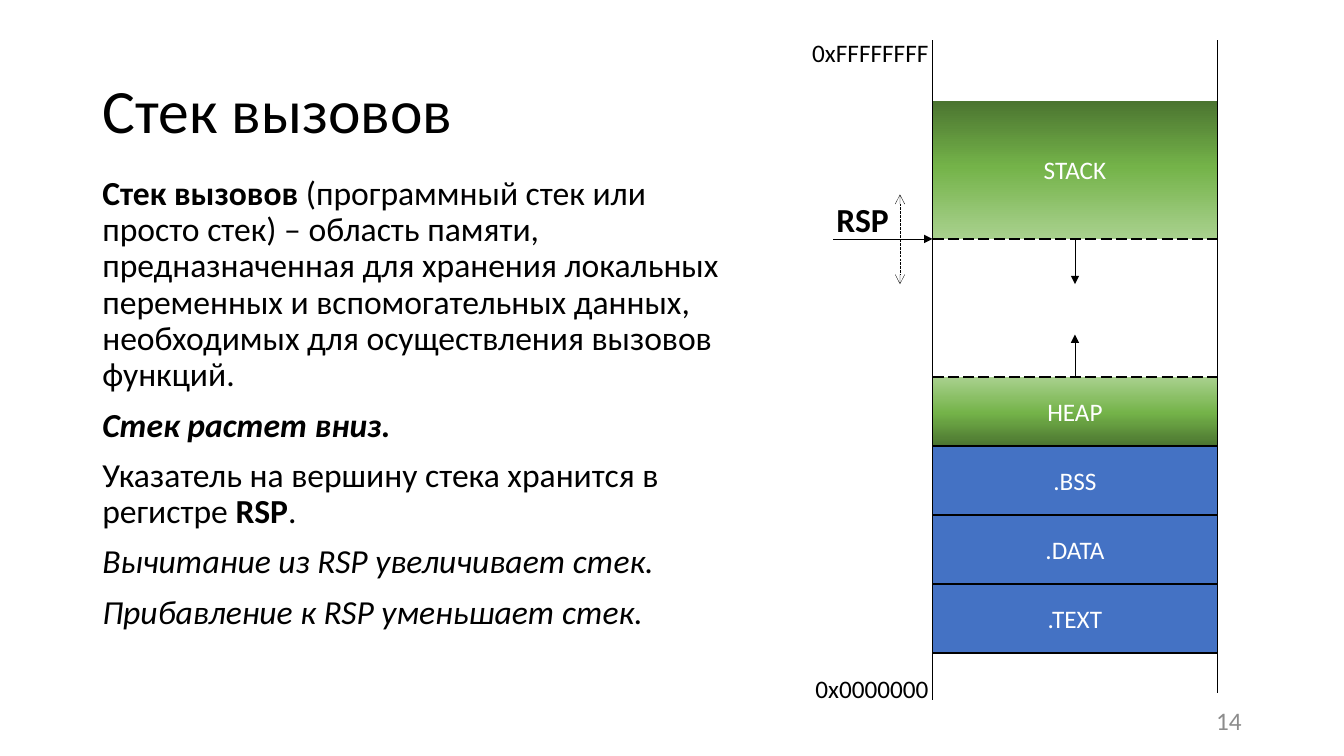
from copy import deepcopy

from lxml import etree
from pptx import Presentation
from pptx.dml.color import RGBColor
from pptx.enum.dml import MSO_LINE
from pptx.enum.shapes import MSO_CONNECTOR, MSO_SHAPE
from pptx.enum.text import MSO_ANCHOR, MSO_AUTO_SIZE, PP_ALIGN
from pptx.oxml.ns import qn
from pptx.util import Cm, Pt

RECT = MSO_SHAPE.RECTANGLE
LINE = MSO_CONNECTOR.STRAIGHT
DASH = MSO_LINE.LONG_DASH
MIDDLE = MSO_ANCHOR.MIDDLE
TOP = MSO_ANCHOR.TOP
CENTER = PP_ALIGN.CENTER
RIGHT = PP_ALIGN.RIGHT
GROW = MSO_AUTO_SIZE.SHAPE_TO_FIT_TEXT

BLACK, WHITE, GRAY, BLUE = "000000", "FFFFFF", "8C8C8C", "4472C4"
GREENS = [(0, "4B7430"), (0.48, "74B349"), (1, "A9D18E")]

# Memory column, in centimetres
LEFT, WIDTH, ROW = 23.5, 7.18, 1.74
END, MID = LEFT + WIDTH, LEFT + WIDTH / 2
STACK_TOP, HEAP_TOP = 2.54, 9.5
STACK_END = STACK_TOP + 2 * ROW

BOLD, ITALIC = {"bold": True}, {"italic": True}
BODY = [
    [("Стек вызовов ", BOLD),
     ("(программный стек или просто стек) – область памяти, "
      "предназначенная для хранения локальных переменных и "
      "вспомогательных данных, необходимых для осуществления "
      "вызовов функций.", {})],
    [("Стек растет вниз.", BOLD | ITALIC)],
    [("Указатель на вершину стека хранится в регистре ", {}),
     ("RSP", BOLD), (".", {})],
    [("Вычитание из RSP увеличивает стек.", ITALIC)],
    [("Прибавление к RSP уменьшает стек.", ITALIC)],
]


def rgb(code):
    return RGBColor.from_string(code)


def style(item, form):
    for name, value in form.items():
        setattr(item, name, value)


def write(frame, paras, size, color=BLACK, **form):
    """Fill a frame with paragraphs, each a list of (text, font format)."""
    for i, runs in enumerate(paras):
        para = frame.paragraphs[0] if i == 0 else frame.add_paragraph()
        style(para, form)
        if i:
            para.space_before = Pt(10)
        for text, look in runs:
            run = para.add_run()
            run.text = text
            style(run.font, {"name": "Calibri", "size": Pt(size)} | look)
            run.font.color.rgb = rgb(color)


def add_text(slide, box, paras, size, color=BLACK, anchor=TOP, **form):
    frame = slide.shapes.add_textbox(*map(Cm, box)).text_frame
    style(frame, {"word_wrap": True, "vertical_anchor": anchor})
    write(frame, paras, size, color, **form)


def add_label(slide, box, text, size, look):
    frame = slide.shapes.add_textbox(*map(Cm, box)).text_frame
    style(frame, {"word_wrap": False, "auto_size": GROW})
    write(frame, [[(text, look)]], size)


def add_block(slide, top, height, text):
    block = slide.shapes.add_shape(
        RECT, Cm(LEFT), Cm(top), Cm(WIDTH), Cm(height))
    block.shadow.inherit = False
    block.text_frame.vertical_anchor = MIDDLE
    write(block.text_frame, [[(text, {})]], 18, WHITE, alignment=CENTER)
    return block


def add_section(slide, top, text):
    block = add_block(slide, top, ROW, text)
    block.fill.solid()
    block.fill.fore_color.rgb = rgb(BLUE)
    block.line.color.rgb = rgb(BLACK)
    block.line.width = Pt(1)


def add_region(slide, top, height, text, angle):
    """Add a green block; angle runs counter-clockwise from the right."""
    block = add_block(slide, top, height, text)
    block.line.fill.background()
    block.fill.gradient()
    block.fill.gradient_angle = angle
    stops = block._element.spPr.find(qn("a:gradFill")).find(qn("a:gsLst"))
    stops.append(deepcopy(stops[0]))
    for stop, (place, color) in zip(block.fill.gradient_stops, GREENS):
        stop.position = place
        stop.color.rgb = rgb(color)
    return block


def add_line(slide, start, end, width=0.5, dash=None, head=None, tail=None):
    line = slide.shapes.add_connector(LINE, *map(Cm, start + end))
    line.line.color.rgb = rgb(BLACK)
    line.line.width = Pt(width)
    if dash:
        line.line.dash_style = dash
    props = line._element.spPr
    for tag, kind in (("a:headEnd", head), ("a:tailEnd", tail)):
        if kind:
            etree.SubElement(props.find(qn("a:ln")), qn(tag), type=kind)
    etree.SubElement(props, qn("a:effectLst"))
    return line


def add_memory(slide):
    stack = add_region(slide, STACK_TOP, 2 * ROW, "STACK", 270)
    heap = add_region(slide, HEAP_TOP, ROW, "HEAP", 90)
    for i, name in reversed(list(enumerate([".BSS", ".DATA", ".TEXT"], 1))):
        add_section(slide, HEAP_TOP + i * ROW, name)

    for y in (STACK_END, HEAP_TOP):
        add_line(slide, (LEFT, y), (END, y), 1, DASH)
    for x, low in ((LEFT, 17.65), (END, 17.45)):
        add_line(slide, (x, 1.02), (x, low))
    for block, side, y, tip in ((stack, 2, STACK_END, 7.16),
                                (heap, 0, HEAP_TOP, 8.43)):
        arrow = add_line(slide, (MID, y), (MID, tip), tail="triangle")
        arrow.begin_connect(block, side)


def add_pointer(slide):
    add_line(slide, (21, STACK_END), (LEFT, STACK_END), tail="triangle")
    add_label(slide, (20.83, 4.9, 1.85, 1.27), "RSP", 24, BOLD)
    add_line(slide, (22.68, 4.9), (22.68, 7.16), 0.25, DASH,
             "arrow", "arrow")


def main():
    deck = Presentation()
    deck.slide_width, deck.slide_height = Cm(33.87), Cm(19.05)
    slide = deck.slides.add_slide(deck.slide_layouts[6])
    add_text(slide, (2.33, 1.01, 29.21, 3.68), [[("Стек вызовов", {})]], 44,
             anchor=MIDDLE, line_spacing=0.9)
    add_text(slide, (2.33, 4.32, 16.2, 13.33), BODY, 24, line_spacing=0.9)
    add_text(slide, (23.92, 17.66, 7.62, 1.01), [[("14", {})]], 18, GRAY,
             MIDDLE, alignment=RIGHT)
    add_memory(slide)
    add_label(slide, (20.22, 0.82, 3.45, 1.03), "0xFFFFFFFF", 18, {})
    add_label(slide, (20.3, 16.83, 3.37, 1.03), "0x0000000", 18, {})
    add_pointer(slide)
    deck.save("out.pptx")


if __name__ == "__main__":
    main()
